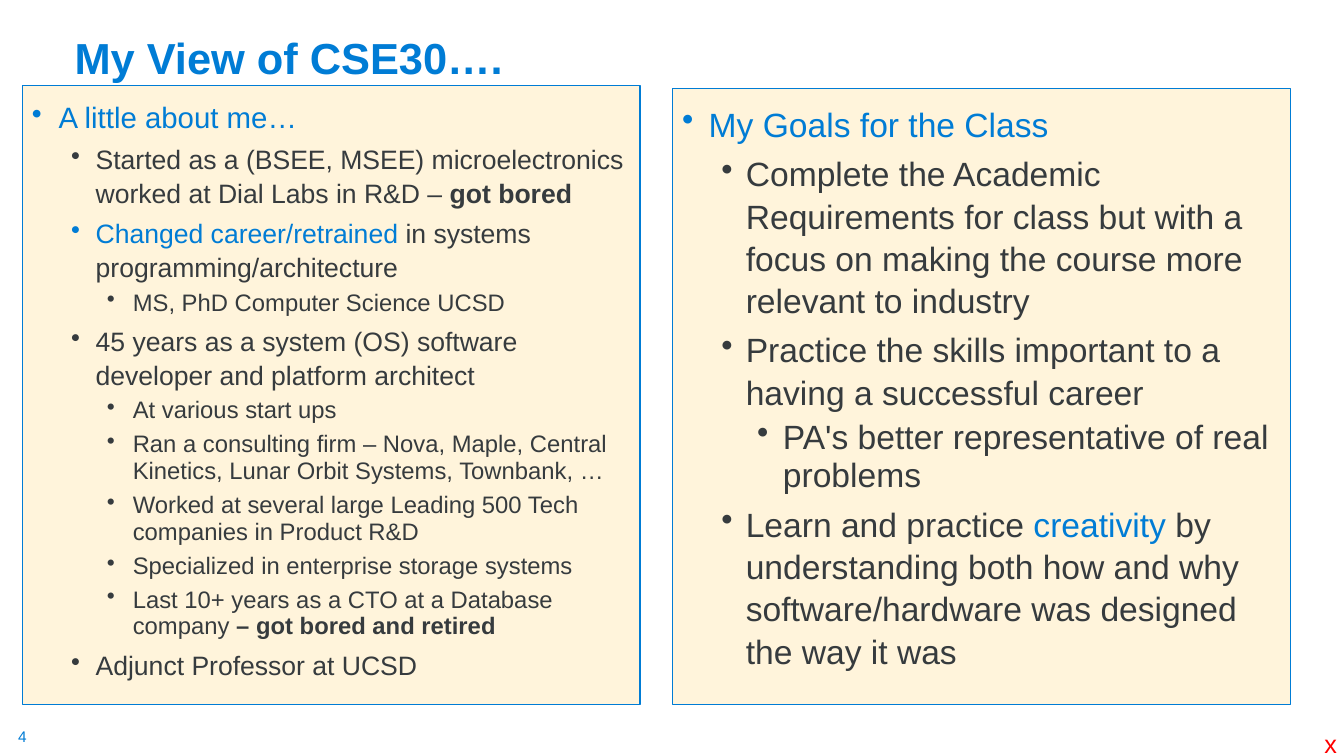
"""Build the slide on the teacher's background and the goals for the class."""
import pptx
import pptx.dml.color
import pptx.enum.shapes
import pptx.enum.text
import pptx.oxml.ns
import pptx.util
from lxml import etree

Pt = pptx.util.Pt
RGB = pptx.dml.color.RGBColor
BLUE = RGB(0x00, 0x7C, 0xD5)
DARK = RGB(0x36, 0x3B, 0x3E)
CREAM = RGB(0xFF, 0xF4, 0xDB)
RED = RGB(0xFF, 0x00, 0x00)

LEVELS = [
    {"left": 19, "hang": 19, "line": 1.25, "before": 10},
    {"left": 45.5, "hang": 17.5, "line": 1.05, "before": 5},
    {"left": 72, "hang": 18.5, "line": 0.94, "before": 5},
]
PLAIN = {"color": DARK, "bold": False}
BOLD = {"color": DARK, "bold": True}
ACCENT = {"color": BLUE, "bold": False}

ABOUT = [
    (0, [("A little about me…", ACCENT)]),
    (1, [("Started as a (BSEE, MSEE) microelectronics worked at Dial Labs in R&D – ", PLAIN),
         ("got bored", BOLD)]),
    (1, [("Changed career/retrained ", ACCENT),
         ("in systems programming/architecture", PLAIN)]),
    (2, [("MS, PhD Computer Science UCSD", PLAIN)]),
    (1, [("45 years as a system (OS) software developer and platform architect", PLAIN)]),
    (2, [("At various start ups", PLAIN)]),
    (2, [("Ran a consulting firm – Nova, Maple, Central Kinetics, "
          "Lunar Orbit Systems, Townbank, …", PLAIN)]),
    (2, [("Worked at several large Leading 500 Tech companies in Product R&D", PLAIN)]),
    (2, [("Specialized in enterprise storage systems", PLAIN)]),
    (2, [("Last 10+ years as a CTO at a Database company ", PLAIN),
         ("– got bored and retired", BOLD)]),
    (1, [("Adjunct Professor at UCSD", PLAIN)]),
]
GOALS = [
    (0, [("My Goals for the Class", ACCENT)]),
    (1, [("Complete the Academic Requirements for class but with a focus on "
          "making the course more relevant to industry", PLAIN)]),
    (1, [("Practice the skills important to a having a successful career", PLAIN)]),
    (2, [("PA's better representative of real problems", PLAIN)]),
    (1, [("Learn and practice ", PLAIN), ("creativity", ACCENT),
         (" by understanding both how and why software/hardware was designed "
          "the way it was", PLAIN)]),
]
PANELS = [
    {"rows": ABOUT, "box": (15.8, 61.2, 441.4, 442), "sizes": (21, 19, 17)},
    {"rows": GOALS, "box": (480.2, 63.4, 441.4, 439.8), "sizes": (24, 24, 24)},
]
NOTES = [
    {"text": "4", "box": (13, 519.1, 13.7, 13.7), "size": 11, "color": BLUE, "inset": (0, 0)},
    {"text": "x", "box": (938.9, 517, 23.8, 28.8), "size": 18, "color": RED, "inset": (7.2, 3.6)},
]


def place(shape, box):
    for name, value in zip(("left", "top", "width", "height"), box):
        setattr(shape, name, Pt(value))


def write(para, text, size, color, bold=False):
    run = para.add_run()
    run.text = text
    look = {"name": "Arial", "size": Pt(size), "bold": bold}
    for name, value in look.items():
        setattr(run.font, name, value)
    run.font.color.rgb = color


deck = pptx.Presentation()
deck.slide_width, deck.slide_height = Pt(960), Pt(540)
slide = deck.slides.add_slide(deck.slide_layouts[5])

title = slide.shapes.title
place(title, (46.1, 7.2, 828, 56.2))
frame = title.text_frame
setup = {
    "auto_size": pptx.enum.text.MSO_AUTO_SIZE.NONE,
    "vertical_anchor": pptx.enum.text.MSO_ANCHOR.BOTTOM,
    "word_wrap": True,
}
for name, value in setup.items():
    setattr(frame, name, value)
head = frame.paragraphs[0]
head.alignment = pptx.enum.text.PP_ALIGN.LEFT
head.line_spacing = 0.9
write(head, "My View of CSE30….", 31, BLUE, True)

for panel in PANELS:
    shape = slide.shapes.add_shape(pptx.enum.shapes.MSO_SHAPE.RECTANGLE, 0, 0, 0, 0)
    place(shape, panel["box"])
    shape.shadow.inherit = False
    shape.fill.solid()
    shape.fill.fore_color.rgb = CREAM
    shape.line.color.rgb = BLUE
    shape.line.width = Pt(0.75)
    frame = shape.text_frame
    frame.word_wrap = True
    frame.vertical_anchor = pptx.enum.text.MSO_ANCHOR.TOP
    for row, (level, parts) in enumerate(panel["rows"]):
        para = frame.add_paragraph() if row else frame.paragraphs[0]
        style = LEVELS[level]
        props = para._p.get_or_add_pPr()
        props.set("marL", str(Pt(style["left"])))
        props.set("indent", str(-Pt(style["hang"])))
        etree.SubElement(props, pptx.oxml.ns.qn("a:buChar")).set("char", "•")
        form = {
            "level": level,
            "alignment": pptx.enum.text.PP_ALIGN.LEFT,
            "line_spacing": style["line"],
            "space_before": Pt(style["before"] if row else 0),
        }
        for name, value in form.items():
            setattr(para, name, value)
        for text, look in parts:
            write(para, text, panel["sizes"][level], **look)

for note in NOTES:
    box = slide.shapes.add_textbox(0, 0, 0, 0)
    place(box, note["box"])
    frame = box.text_frame
    frame.word_wrap = False
    side, edge = note["inset"]
    frame.margin_left = frame.margin_right = Pt(side)
    frame.margin_top = frame.margin_bottom = Pt(edge)
    write(frame.paragraphs[0], note["text"], note["size"], note["color"])

deck.save("out.pptx")
